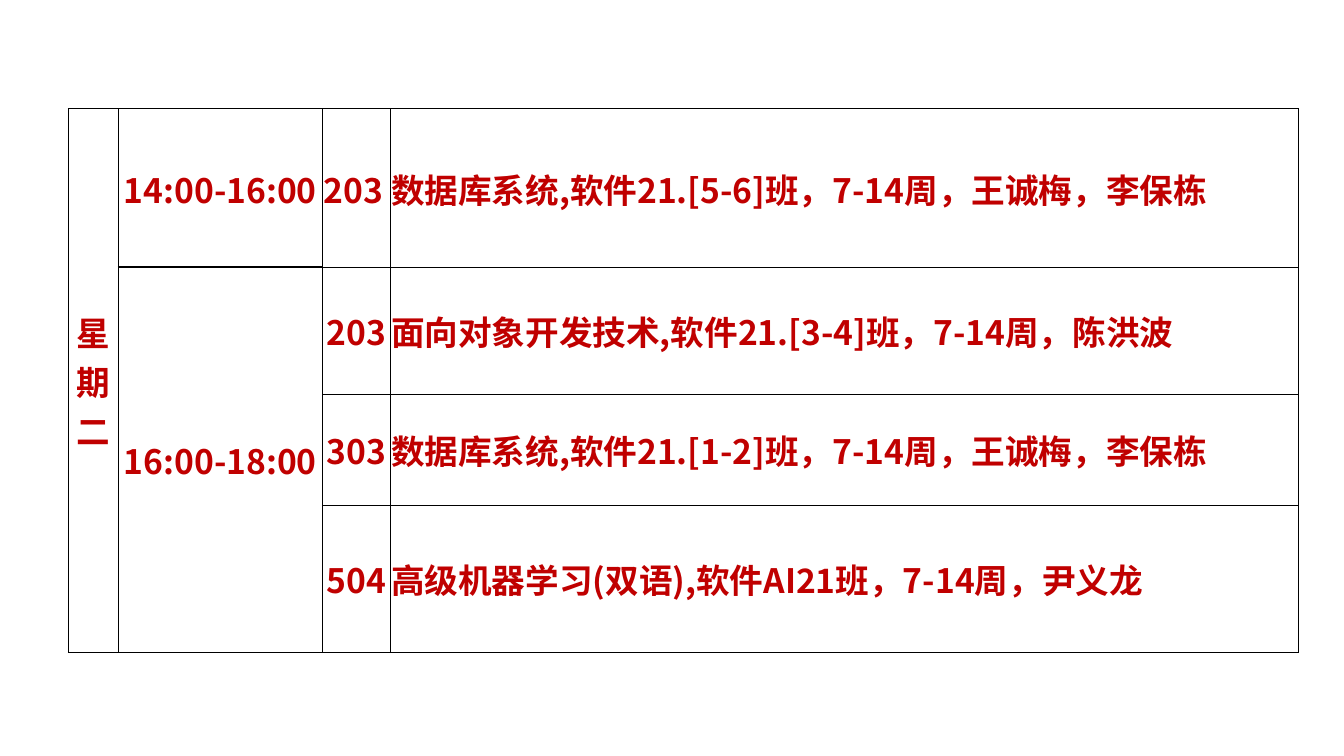
from lxml.etree import SubElement
from pptx import Presentation
from pptx.dml.color import RGBColor
from pptx.enum.text import MSO_ANCHOR, PP_ALIGN
from pptx.oxml.ns import qn
from pptx.util import Inches, Pt

FONT = "Noto Sans CJK SC"
COLUMN_WIDTHS = [0.49, 2.03, 0.67, 9.01]
ROW_HEIGHTS = [1.57, 1.26, 1.10, 1.12]
CELL_FORMAT = {
    "vertical_anchor": MSO_ANCHOR.MIDDLE,
    "margin_left": Inches(0.01),
    "margin_right": Inches(0.01),
    "margin_top": Inches(0.01),
    "margin_bottom": 0,
}
FONT_FORMAT = {"name": FONT, "size": Pt(24), "bold": True}
SCHEDULE = [
    ["星期二", "14:00-16:00", "203", "数据库系统,软件21.[5-6]班，7-14周，王诚梅，李保栋"],
    ["", "16:00-18:00", "203", "面向对象开发技术,软件21.[3-4]班，7-14周，陈洪波"],
    ["", "", "303", "数据库系统,软件21.[1-2]班，7-14周，王诚梅，李保栋"],
    ["", "", "504", "高级机器学习(双语),软件AI21班，7-14周，尹义龙"],
]


def color(hex_string):
    return RGBColor.from_string(hex_string)


def add_borders(cell, widths):
    """Draw black cell borders; widths maps L, R, T, B in that order to points."""
    properties = cell._tc.get_or_add_tcPr()
    for side, width in widths.items():
        line = SubElement(properties, qn(f"a:ln{side}"), w=str(Pt(width)))
        fill = SubElement(line, qn("a:solidFill"))
        SubElement(fill, qn("a:srgbClr"), val="000000")


presentation = Presentation()
presentation.slide_width = Inches(13.33)
presentation.slide_height = Inches(7.5)
slide = presentation.slides.add_slide(presentation.slide_layouts[6])
slide.background.fill.solid()
slide.background.fill.fore_color.rgb = color("FFFFFF")

table = slide.shapes.add_table(
    len(ROW_HEIGHTS), len(COLUMN_WIDTHS), Inches(0.68), Inches(1.08),
    Inches(sum(COLUMN_WIDTHS)), Inches(sum(ROW_HEIGHTS)),
).table
table.first_row = False
table.horz_banding = False
for column, width in zip(table.columns, COLUMN_WIDTHS):
    column.width = Inches(width)
for row, height in zip(table.rows, ROW_HEIGHTS):
    row.height = Inches(height)

table.cell(0, 0).merge(table.cell(3, 0))
table.cell(1, 1).merge(table.cell(3, 1))

for row_index, texts in enumerate(SCHEDULE):
    for column_index, text in enumerate(texts):
        cell = table.cell(row_index, column_index)
        for name, value in CELL_FORMAT.items():
            setattr(cell, name, value)
        add_borders(cell, {
            "L": 1 if column_index == 0 else 0.5,
            "R": 0.5,
            "T": 1 if row_index == 0 else 0.5,
            "B": 1 if column_index < 2 else 0.5,
        })
        cell.fill.background()
        if not text:
            continue
        paragraph = cell.text_frame.paragraphs[0]
        left_aligned = column_index == 3 or (row_index, column_index) == (0, 2)
        paragraph.alignment = PP_ALIGN.LEFT if left_aligned else PP_ALIGN.CENTER
        run = paragraph.add_run()
        run.text = text
        for name, value in FONT_FORMAT.items():
            setattr(run.font, name, value)
        run.font.color.rgb = color("C00000")
        SubElement(run._r.get_or_add_rPr(), qn("a:ea"), typeface=FONT)

presentation.save("out.pptx")
